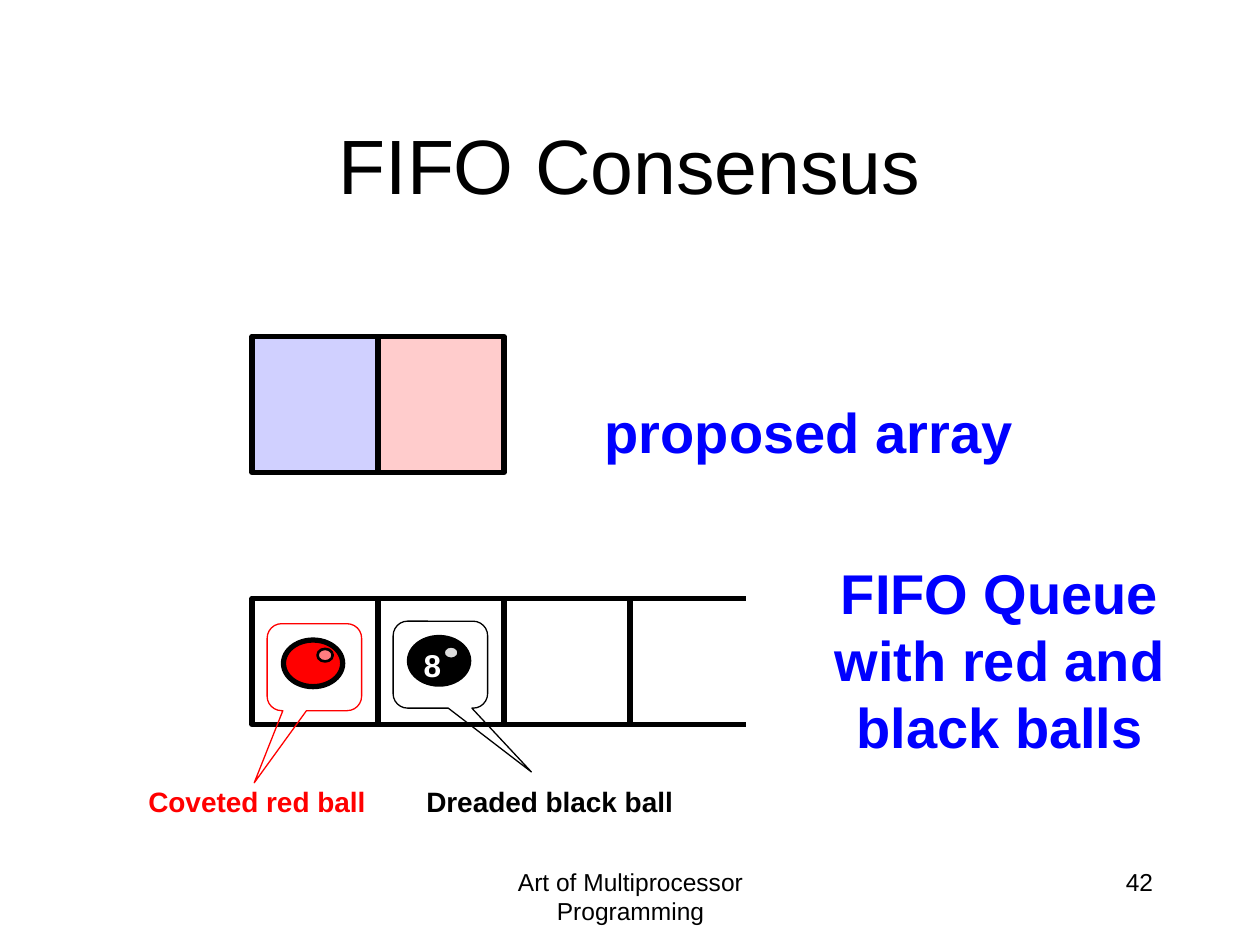
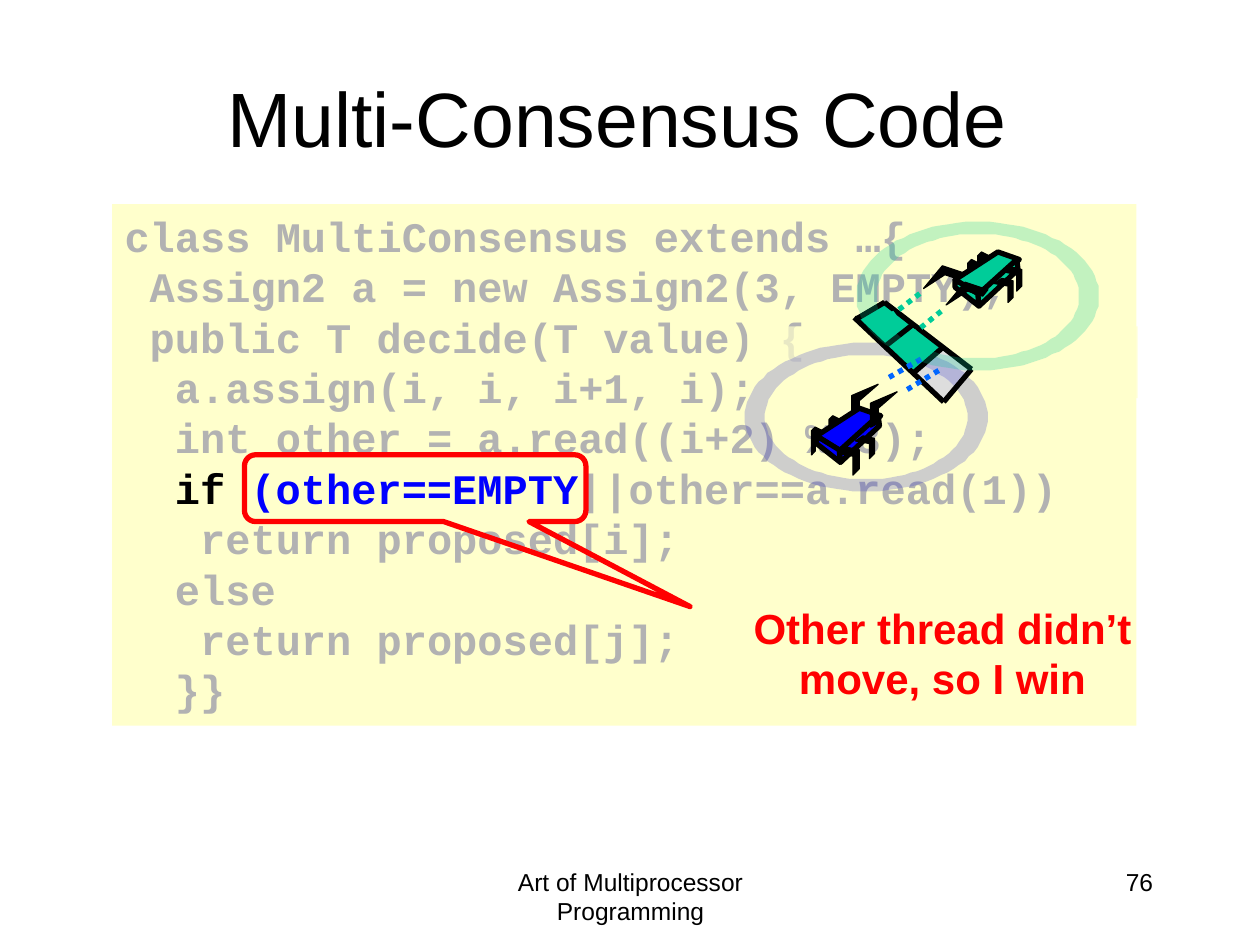
import math

from lxml import etree
from pptx import Presentation
from pptx import util as u
from pptx.dml.color import RGBColor
from pptx.enum import dml, shapes, text
from pptx.oxml.ns import qn

PX = 9144  # 100 px to the inch
BLACK, RED, BLUE, GREEN = "000000", "FF0000", "0000FF", "00CC99"
PALE, GREY, FADED = "FFFFCC", "DDDDDD", "B2B2B2"
RECT = shapes.MSO_SHAPE.RECTANGLE
OVAL = shapes.MSO_SHAPE.OVAL
CALLOUT = shapes.MSO_SHAPE.ROUNDED_RECTANGULAR_CALLOUT
ALIGN = {"l": text.PP_ALIGN.LEFT, "c": text.PP_ALIGN.CENTER, "r": text.PP_ALIGN.RIGHT}


def rgb(value):
    return RGBColor.from_string(value)


def emu(lengths):
    return [u.Emu(round(n * PX)) for n in lengths]


def shift(points, dx, dy):
    return [(x + dx, y + dy) for x, y in points]


class Deck:
    """Holds the presentation, its style and the slide being drawn."""

    def __init__(self):
        self.prs = Presentation()
        self.prs.slide_width, self.prs.slide_height = emu((1000, 750))
        self.slide = None

    def new_slide(self, number):
        self.slide = self.prs.slides.add_slide(self.prs.slide_layouts[6])
        self.text((342, 683, 317, 50), "Art of Multiprocessor Programming", size=14, align="c")
        self.text((717, 683, 208, 50), number, size=14, align="r")

    def title(self, words, left, top):
        self.text((left, top, 850, 125), words, size=44, align="c", middle=True)

    def paint(self, shape, fill, alpha, line, width):
        shape.shadow.inherit = False
        if fill:
            shape.fill.solid()
            shape.fill.fore_color.rgb = rgb(fill)
            if alpha < 100:
                color = shape.element.spPr.find(".//" + qn("a:srgbClr"))
                etree.SubElement(color, qn("a:alpha"), val=str(alpha * 1000))
        else:
            shape.fill.background()
        if line:
            shape.line.color.rgb = rgb(line)
            shape.line.width = u.Pt(width)
        else:
            shape.line.fill.background()
        return shape

    def shape(self, kind, at, fill=None, alpha=100, line=None, width=3, adjust=()):
        shape = self.slide.shapes.add_shape(kind, *emu(at))
        for index, value in enumerate(adjust):
            shape.adjustments[index] = value
        return self.paint(shape, fill, alpha, line, width)

    def outline(self, *contours, fill, alpha=100, line=BLACK, width=0.75):
        builder = None
        for start, *rest in contours:
            if builder is None:
                builder = self.slide.shapes.build_freeform(*start, scale=PX)
            else:
                builder.move_to(*start)
            builder.add_line_segments(rest, close=True)
        self.paint(builder.convert_to_shape(), fill, alpha, line, width)

    def line(self, start, end, color=BLACK, dotted=False):
        line = self.slide.shapes.add_connector(
            shapes.MSO_CONNECTOR.STRAIGHT, *emu((*start, *end)))
        line.line.color.rgb = rgb(color)
        line.line.width = u.Pt(3)
        if dotted:
            line.line.dash_style = dml.MSO_LINE.ROUND_DOT
        etree.SubElement(line.element.spPr, qn("a:effectLst"))

    def text(self, at, *paragraphs, size, color=BLACK, bold=False, font="Arial",
             align="l", middle=False, wrap=True, box=None):
        """Write paragraphs, each a string or a list of (words, colour) runs."""
        box = box or self.slide.shapes.add_textbox(*emu(at))
        frame = box.text_frame
        frame.word_wrap = wrap
        anchors = text.MSO_ANCHOR
        frame.vertical_anchor = anchors.MIDDLE if middle else anchors.TOP
        for index, content in enumerate(paragraphs):
            paragraph = frame.add_paragraph() if index else frame.paragraphs[0]
            paragraph.alignment = ALIGN[align]
            runs = [(content, color)] if isinstance(content, str) else content
            for words, run_color in runs:
                run = paragraph.add_run()
                run.text = words
                run.font.name, run.font.size, run.font.bold = font, u.Pt(size), bold
                run.font.color.rgb = rgb(run_color)

    def ball(self, left, top, fill, shine):
        self.shape(OVAL, (left, top, 47, 37), fill, line=BLACK)
        self.shape(OVAL, (left + 27, top + 7, 12, 10), shine, line=BLACK, width=1.5)

    def ring(self, cx, cy, color):
        """Draw a see-through elliptical band around a thread."""
        def ellipse(rx, ry, turn):
            angles = [turn * math.tau * i / 90 for i in range(90)]
            return [(cx + rx * math.cos(a), cy + ry * math.sin(a)) for a in angles]
        self.outline(ellipse(96.5, 59, 1), ellipse(80.5, 49.5, -1),
                     fill=color, alpha=24, line=None)

    def bug(self, dx, dy, color, claw, claw_step, back_legs, front_legs):
        """Draw a thread as a bug; body offset, claws, legs as positions."""
        hook = [(9, 3), (3, 0), (0, 3), (0, 22), (3, 19), (3, 7), (9, 10)]
        leg = [(.4, 0), (0, .22), (.7, .32), (.7, 1), (1, .78), (1, .1)]
        body = [
            [(682, 324), (648, 346), (667, 358), (699, 330)],
            [(697, 330), (666, 358), (667, 367), (698, 338)],
            [(648, 346), (648, 352), (667, 367), (666, 357)],
        ]
        self.outline(claw, fill=BLACK)
        for place in back_legs:
            self.outline(shift(hook, *place), fill=BLACK)
        for face in body:
            self.outline(shift(face, dx, dy), fill=color, width=3)
        for x, y, w, h in front_legs:
            self.outline([(x + w * a, y + h * b) for a, b in leg], fill=BLACK)
        self.outline(shift(claw, *claw_step), fill=BLACK)


def fifo_consensus(deck):
    deck.new_slide("42")
    deck.title("FIFO Consensus", 75, 67)
    label = dict(size=32, color=BLUE, bold=True, align="c")

    for left, fill, alpha in ((200, "6666FF", 30), (300, RED, 20)):
        deck.shape(RECT, (left, 267, 100, 108), fill, alpha, BLACK)
    deck.text((469, 311, 346, 64), "proposed array", wrap=False, **label)

    for left in (200, 300, 400):
        deck.shape(RECT, (left, 475, 100, 100), line=BLACK)
    for y in (475, 575):
        deck.line((492, y), (592, y))
    deck.text((617, 438, 353, 172), "FIFO Queue with red and black balls", **label)

    deck.ball(225, 508, RED, "FF7C80")
    deck.ball(325, 506, BLACK, GREY)
    deck.text((325, 508, 35, 40), "8", size=18, color="FFFFFF", bold=True,
              align="r", wrap=False)

    notes = (
        ("Coveted red ball", RED, (102, 618, 198, 37), (212, 495), (-.637, 1.33)),
        ("Dreaded black ball", BLACK, (322, 618, 222, 37), (312, 493), (.963, 1.234)),
    )
    for words, color, at, corner, tip in notes:
        deck.text(at, words, size=16, color=color, bold=True, align="r", wrap=False)
        deck.shape(CALLOUT, (*corner, 75, 69), line=color, width=0.75,
                   adjust=(*tip, .167))


def assignment_scene(deck):
    """Draw two threads, each with the array cells it assigns."""
    deck.outline([(701, 239), (679, 252), (749, 318), (771, 293)], fill=GREY)
    deck.ring(687.5, 331, "3333CC")
    deck.outline([(702, 274), (725, 297), (748, 275), (724, 258)], fill=GREEN)
    deck.outline([(701, 240), (680, 252), (701, 275), (723, 258)], fill=GREEN)

    deck.bug(0, 0, BLUE,
             claw=[(676, 333), (682, 330), (682, 318), (697, 305), (676, 314)],
             claw_step=(15, 6),
             back_legs=[(644, 339), (658, 330)],
             front_legs=[(666, 355, 16, 22), (679, 346, 15, 18)])
    deck.bug(110, -124, GREEN,
             claw=[(766, 217), (762, 222), (750, 218), (733, 229), (748, 211)],
             claw_step=(18, 13),
             back_legs=[(776, 200), (768, 206)],
             front_legs=[(798, 212, 13, 19), (789, 221, 15, 19)])

    edges = [
        ((678, 252), (749, 319)), ((702, 240), (771, 293)),
        ((680, 253), (702, 240)), ((749, 319), (771, 293)),
        ((725, 296), (748, 276)), ((701, 276), (724, 258)),
    ]
    for start, end in edges:
        deck.line(start, end)
    links = [
        ((730, 233), (704, 253), GREEN), ((747, 247), (721, 268), GREEN),
        ((731, 285), (703, 301), "0066FF"), ((745, 294), (717, 311), "0066FF"),
    ]
    for start, end, color in links:
        deck.line(start, end, color, dotted=True)
    deck.ring(776, 235, GREEN)


def multi_consensus_code(deck):
    deck.new_slide("76")
    code = (
        "class MultiConsensus extends …{",
        " Assign2 a = new Assign2(3, EMPTY);",
        " public T decide(T value) {",
        "  a.assign(i, i, i+1, i);",
        "  int other = a.read((i+2) % 3);",
        [("  ", BLUE), ("if", BLACK), (" (other==EMPTY", BLUE),
         ("||other==a.read(1))", FADED)],
        "   return proposed[i];",
        "  else",
        "   return proposed[j];",
        "  }}",
    )
    at = (89, 162, 813, 414)
    panel = deck.shape(RECT, at, PALE)
    deck.text(at, *code, size=24, color=FADED, bold=True, font="Courier New", box=panel)
    deck.shape(RECT, (593, 259, 310, 57), PALE, 70)
    deck.title("Multi-Consensus Code", 65, 30)
    deck.shape(CALLOUT, (194, 361, 271, 53), line=RED, adjust=(.805, 1.774, .167))
    deck.text((574, 473, 348, 91), "Other thread didn’t move, so I win",
              size=24, color=RED, bold=True, align="c")
    assignment_scene(deck)


def main():
    deck = Deck()
    fifo_consensus(deck)
    multi_consensus_code(deck)
    deck.prs.save("out.pptx")


if __name__ == "__main__":
    main()
